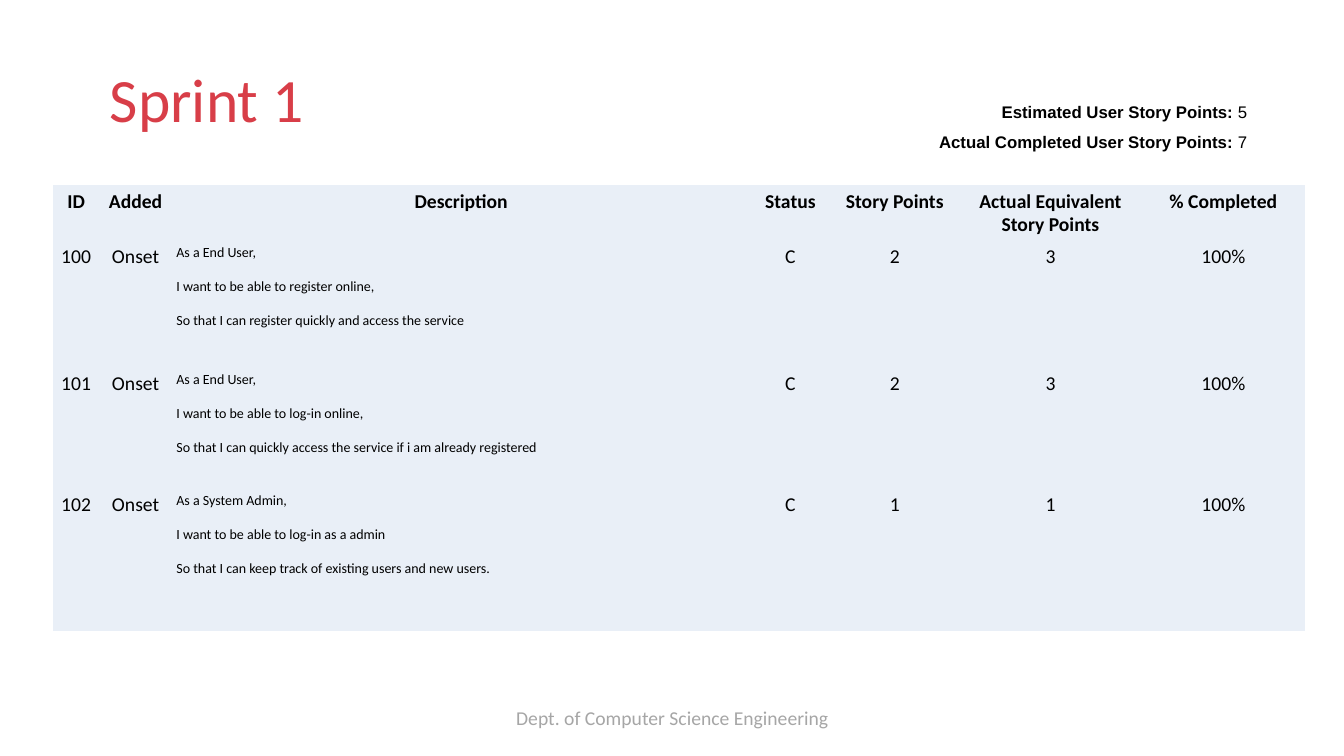
import dataclasses

import pptx
import pptx.dml.color
import pptx.enum.text
import pptx.text.text
import pptx.util

Inches = pptx.util.Inches
Pt = pptx.util.Pt
Align = pptx.enum.text.PP_ALIGN
Anchor = pptx.enum.text.MSO_ANCHOR
Frame = pptx.text.text.TextFrame

COLORS = {"red": "D83E48", "black": "000000", "gray": "A6A6A6", "pale": "E9EFF7"}
NO_GRID = "{2D5ABB26-0587-4C30-8999-92F81FD0307C}"


@dataclasses.dataclass
class Style:
    size: float
    color: str = "black"
    name: str = "Calibri"
    bold: bool = False


@dataclasses.dataclass
class Column:
    head: str
    width: float


@dataclasses.dataclass
class Story:
    code: str
    user: str
    want: str
    gain: str
    points: str
    actual: str
    height: float


@dataclasses.dataclass
class Total:
    label: str
    value: str


TITLE = Style(44, "red")
FOOTER = Style(14, "gray")
HEAD = Style(14, bold=True)
BODY = Style(14)
SMALL = Style(10)
LABEL = Style(12, name="Arial", bold=True)
VALUE = Style(12, name="Arial")

HEAD_HEIGHT = 0.54
COLUMNS = [
    Column("ID", 0.45),
    Column("Added", 0.73),
    Column("Description", 5.73),
    Column("Status", 0.8),
    Column("Story Points", 1.27),
    Column("Actual Equivalent Story Points", 1.82),
    Column("% Completed", 1.61),
]
STORIES = [
    Story("100", "As a End User,", "I want to be able to register online,",
          "So that I can register quickly and access the service", "2", "3", 1.26),
    Story("101", "As a End User,", "I want to be able to log-in online,",
          "So that I can quickly access the service if i am already registered", "2", "3", 1.2),
    Story("102", "As a System Admin,", "I want to be able to log-in as a admin",
          "So that I can keep track of existing users and new users.", "1", "1", 1.41),
]
TOTALS = [
    Total("Estimated User Story Points:", "5"),
    Total("Actual Completed User Story Points:", "7"),
]


def set_all(target: object, values: dict) -> None:
    for key, value in values.items():
        setattr(target, key, value)


def set_frame(frame: Frame, inset: float, anchor: Anchor = Anchor.TOP) -> None:
    sides = ("left", "top", "right", "bottom")
    set_all(frame, {f"margin_{side}": Inches(inset) for side in sides})
    set_all(frame, {"word_wrap": True, "vertical_anchor": anchor})


def write(frame: Frame, lines: list[list[tuple[str, Style]]], align: Align, gap: float = 0) -> None:
    for index, line in enumerate(lines):
        para = frame.add_paragraph() if index else frame.paragraphs[0]
        para.alignment = align
        if index:
            para.space_before = Pt(gap)
        for text, style in line:
            run = para.add_run()
            run.text = text
            set_all(run.font, {"size": Pt(style.size), "name": style.name, "bold": style.bold})
            run.font.color.rgb = pptx.dml.color.RGBColor.from_string(COLORS[style.color])


def add_title(slide: pptx.slide.Slide) -> None:
    title = slide.shapes.title
    set_all(title, {"left": Inches(1.04), "top": Inches(0.4),
                    "width": Inches(6), "height": Inches(1.15)})
    set_frame(title.text_frame, 0.05, Anchor.MIDDLE)
    write(title.text_frame, [[("Sprint 1", TITLE)]], Align.LEFT)


def add_totals(slide: pptx.slide.Slide) -> None:
    box = slide.shapes.add_textbox(Inches(8.42), Inches(0.96), Inches(4), Inches(0.6))
    set_frame(box.text_frame, 0.05)
    lines = [[(total.label, LABEL), (f" {total.value}", VALUE)] for total in TOTALS]
    write(box.text_frame, lines, Align.RIGHT, 7)


def add_stories(slide: pptx.slide.Slide) -> None:
    heights = [HEAD_HEIGHT] + [story.height for story in STORIES]
    widths = [column.width for column in COLUMNS]
    shape = slide.shapes.add_table(len(heights), len(widths), Inches(0.53), Inches(1.84),
                                   Inches(sum(widths)), Inches(sum(heights)))
    table = shape.table
    set_all(table, {"first_row": False, "horz_banding": False})
    for node in shape._element.iter("{*}tableStyleId"):
        node.text = NO_GRID
    for column, width in zip(table.columns, widths):
        column.width = Inches(width)
    for row, height in zip(table.rows, heights):
        row.height = Inches(height)

    grid = [[[column.head] for column in COLUMNS]]
    for story in STORIES:
        grid.append([[story.code], ["Onset"], [story.user, story.want, story.gain],
                     ["C"], [story.points], [story.actual], ["100%"]])
    for row, texts in zip(table.rows, grid):
        for cell, lines in zip(row.cells, texts):
            cell.fill.solid()
            cell.fill.fore_color.rgb = pptx.dml.color.RGBColor.from_string(COLORS["pale"])
            set_all(cell, {f"margin_{side}": Inches(0.04)
                           for side in ("left", "top", "right", "bottom")})
            long = len(lines) > 1
            style = HEAD if texts is grid[0] else SMALL if long else BODY
            align = Align.LEFT if long else Align.CENTER
            write(cell.text_frame, [[(line, style)] for line in lines], align, 12)


def add_footer(slide: pptx.slide.Slide) -> None:
    box = slide.shapes.add_textbox(Inches(4.47), Inches(6.95), Inches(4.4), Inches(0.31))
    set_frame(box.text_frame, 0.05)
    write(box.text_frame, [[("Dept. of Computer Science Engineering", FOOTER)]], Align.CENTER)


def main() -> None:
    deck = pptx.Presentation()
    set_all(deck, {"slide_width": Inches(13.33), "slide_height": Inches(7.5)})
    slide = deck.slides.add_slide(deck.slide_layouts[5])
    for draw in (add_footer, add_title, add_totals, add_stories):
        draw(slide)
    deck.save("out.pptx")


if __name__ == "__main__":
    main()
